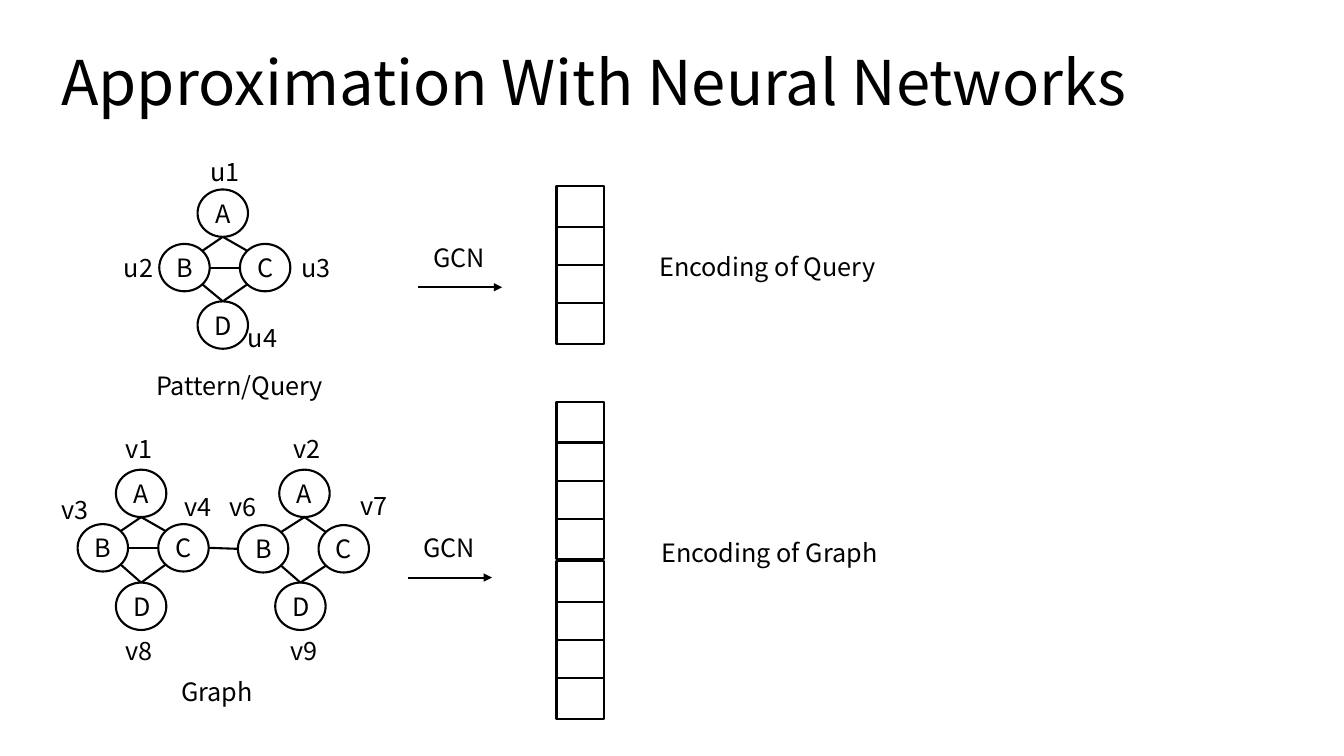
from dataclasses import dataclass
from math import cos, radians, sin

from lxml import etree
from pptx import Presentation
from pptx import util as u
from pptx.dml import color
from pptx.enum import shapes, text
from pptx.oxml import ns


@dataclass(frozen=True)
class Theme:
    """Colours, font and sizes of the slide."""
    ink: color.RGBColor = color.RGBColor(0, 0, 0)
    paper: color.RGBColor = color.RGBColor(255, 255, 255)
    font: str = "Noto Sans CJK SC"
    title_size: float = 44
    body_size: float = 18
    stroke: float = 1.5


@dataclass(frozen=True)
class Label:
    """A left-aligned text box."""
    words: str
    left: float
    top: float
    width: float = 0.62


@dataclass(frozen=True)
class Node:
    """A lettered graph node."""
    letter: str
    left: float
    top: float
    width: float = 0.5
    height: float = 0.47

    def rim(self, degrees: float) -> tuple[float, float]:
        """Return the rim point at an angle measured clockwise from the right."""
        angle = radians(degrees)
        return (self.left + self.width * (1 + cos(angle)) / 2,
                self.top + self.height * (1 + sin(angle)) / 2)


@dataclass(frozen=True)
class Diamond:
    """Four nodes joined in a ring."""
    top: Node
    left: Node
    right: Node
    bottom: Node


@dataclass(frozen=True)
class Step:
    """An encoding arrow, placed by its left end."""
    left: float
    top: float
    length: float = 0.83


@dataclass(frozen=True)
class Vector:
    """A stack of encoding cells in blocks of four."""
    top: float
    blocks: int


THEME = Theme()
RIGHT, LOWER_RIGHT, DOWN, LOWER_LEFT, LEFT, UPPER_LEFT, UP, UPPER_RIGHT = range(0, 360, 45)
VECTOR_LEFT, CELL_WIDTH, CELL_HEIGHT, BLOCK_HEIGHT = 5.52, 0.47, 0.4, 1.58
CELL_OFFSETS = (0, 0.4, 0.78, 1.16)

QUERY = Diamond(Node("A", 1.96, 1.88), Node("B", 1.58, 2.42),
                Node("C", 2.38, 2.42), Node("D", 1.96, 2.99))
GRAPH_LEFT = Diamond(Node("A", 1.15, 4.66), Node("B", 0.77, 5.2),
                     Node("C", 1.57, 5.2), Node("D", 1.15, 5.78))
GRAPH_RIGHT = Diamond(Node("A", 2.77, 4.66), Node("B", 2.36, 5.21),
                      Node("C", 3.16, 5.21), Node("D", 2.73, 5.78))
BRIDGES = ((QUERY.left, QUERY.right), (GRAPH_LEFT.left, GRAPH_LEFT.right),
           (GRAPH_LEFT.right, GRAPH_RIGHT.left))
STEPS = (Step(4.15, 2.85), Step(4.05, 5.73))
VECTORS = (Vector(1.85, 1), Vector(3.99, 2))
LABELS = (
    Label("u1", 1.99, 1.5), Label("u2", 1.13, 2.45),
    Label("u3", 2.89, 2.45), Label("u4", 2.36, 3.15),
    Label("v1", 1.15, 4.25), Label("v2", 2.81, 4.25),
    Label("v3", 0.51, 4.85), Label("v4", 1.73, 4.83),
    Label("v6", 2.18, 4.83), Label("v7", 3.48, 4.82),
    Label("v8", 1.15, 6.25), Label("v9", 2.78, 6.25),
    Label("Pattern/Query", 1.45, 3.62, 1.86), Label("Graph", 1.7, 6.66, 1.86),
    Label("Encoding of Query", 6.44, 2.44, 3.22),
    Label("Encoding of Graph", 6.46, 5.28, 3.22),
)


def write(shape, words: str, size: float):
    """Put one styled paragraph in a shape and return it."""
    shape.text_frame.text = words
    para = shape.text_frame.paragraphs[0]
    font = para.runs[0].font
    font.name, font.size = THEME.font, u.Pt(size)
    font.color.rgb = THEME.ink
    return para


def draw_title(page, words: str) -> None:
    """Draw the slide title."""
    box = page.shapes.add_textbox(u.Inches(0.51), u.Inches(0.12), u.Inches(11.5), u.Inches(1.45))
    box.text_frame.word_wrap = True
    box.text_frame.vertical_anchor = text.MSO_ANCHOR.MIDDLE
    write(box, words, THEME.title_size).line_spacing = 0.9


def draw_label(page, label: Label) -> None:
    """Draw a label that grows with its text."""
    box = page.shapes.add_textbox(u.Inches(label.left), u.Inches(label.top),
                                  u.Inches(label.width), u.Inches(0.4))
    box.text_frame.word_wrap = True
    box.text_frame.auto_size = text.MSO_AUTO_SIZE.SHAPE_TO_FIT_TEXT
    write(box, label.words, THEME.body_size)


def draw_outline(page, kind, left: float, top: float, width: float, height: float):
    """Draw a paper-filled shape with an ink outline."""
    shape = page.shapes.add_shape(kind, u.Inches(left), u.Inches(top),
                                  u.Inches(width), u.Inches(height))
    shape.shadow.inherit = False
    shape.fill.solid()
    shape.fill.fore_color.rgb = THEME.paper
    shape.line.color.rgb = THEME.ink
    shape.line.width = u.Pt(THEME.stroke)
    return shape


def draw_node(page, node: Node) -> None:
    """Draw a circle with its letter in the centre."""
    circle = draw_outline(page, shapes.MSO_SHAPE.OVAL, node.left, node.top,
                          node.width, node.height)
    circle.text_frame.vertical_anchor = text.MSO_ANCHOR.MIDDLE
    write(circle, node.letter, THEME.body_size).alignment = text.PP_ALIGN.CENTER


def draw_line(page, start: tuple[float, float], end: tuple[float, float],
              arrow: bool = False) -> None:
    """Draw a straight line, with an arrowhead at its end if asked."""
    line = page.shapes.add_connector(shapes.MSO_CONNECTOR.STRAIGHT,
                                     *(u.Inches(value) for value in (*start, *end)))
    line.line.color.rgb = THEME.ink
    line.line.width = u.Pt(THEME.stroke)
    if arrow:
        etree.SubElement(line.line._get_or_add_ln(), ns.qn("a:tailEnd"), type="triangle")
    etree.SubElement(line._element.spPr, ns.qn("a:effectLst"))


def draw_diamond(page, diamond: Diamond) -> None:
    """Draw four nodes and the ring of edges between them."""
    for node in (diamond.top, diamond.right, diamond.left, diamond.bottom):
        draw_node(page, node)
    for hub, side, right_angle, left_angle in (
            (diamond.top, DOWN, UPPER_LEFT, UPPER_RIGHT),
            (diamond.bottom, UP, LOWER_LEFT, LOWER_RIGHT)):
        draw_line(page, hub.rim(side), diamond.right.rim(right_angle))
        draw_line(page, hub.rim(side), diamond.left.rim(left_angle))


def draw_step(page, step: Step) -> None:
    """Draw an arrow with the network name above it."""
    draw_line(page, (step.left, step.top), (step.left + step.length, step.top), arrow=True)
    draw_label(page, Label("GCN", step.left + 0.05, step.top - 0.5, 0.93))


def draw_vector(page, vector: Vector) -> None:
    """Draw the cells of an encoding from top to bottom."""
    for block in range(vector.blocks):
        for offset in CELL_OFFSETS:
            draw_outline(page, shapes.MSO_SHAPE.RECTANGLE, VECTOR_LEFT,
                         vector.top + block * BLOCK_HEIGHT + offset, CELL_WIDTH, CELL_HEIGHT)


def main() -> None:
    """Build and save the slide."""
    deck = Presentation()
    deck.slide_width, deck.slide_height = u.Inches(13.33), u.Inches(7.5)
    page = deck.slides.add_slide(deck.slide_layouts[6])
    draw_title(page, "Approximation With Neural Networks")
    for diamond in (QUERY, GRAPH_LEFT, GRAPH_RIGHT):
        draw_diamond(page, diamond)
    for first, second in BRIDGES:
        draw_line(page, first.rim(RIGHT), second.rim(LEFT))
    for step in STEPS:
        draw_step(page, step)
    for vector in VECTORS:
        draw_vector(page, vector)
    for label in LABELS:
        draw_label(page, label)
    deck.save("out.pptx")


if __name__ == "__main__":
    main()
